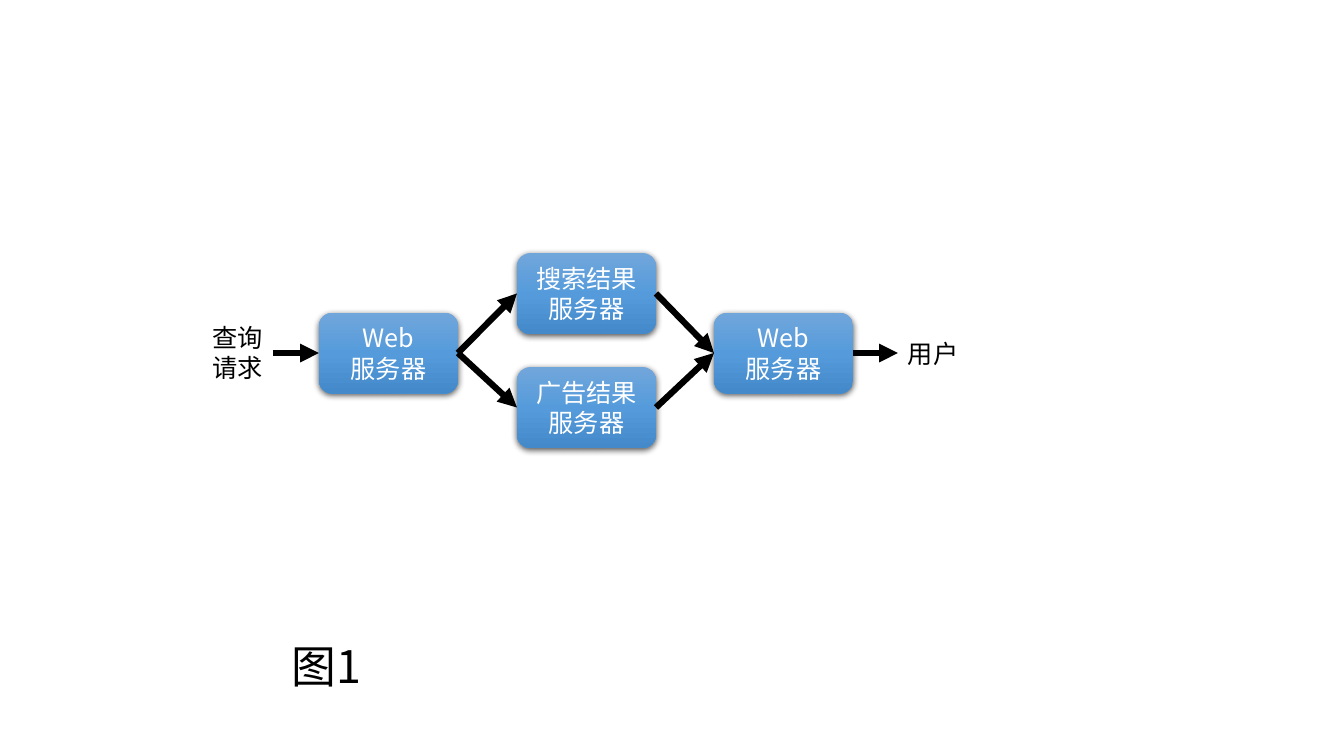
import dataclasses

import lxml.etree
import pptx
import pptx.dml.color
import pptx.enum.shapes
import pptx.enum.text
import pptx.oxml
import pptx.oxml.ns
import pptx.util

RGB = pptx.dml.color.RGBColor.from_string
ALIGN = pptx.enum.text.PP_ALIGN
qualify = pptx.oxml.ns.qn
LEFT_SITE, RIGHT_SITE = 1, 3


@dataclasses.dataclass(frozen=True)
class Theme:
    """Colours, font and sizes of the slide."""
    font: str = "Noto Sans CJK SC"
    ink: str = "000000"
    server_text: str = "FFFFFF"
    server_fill: tuple = ((0, "71A6DB"), (50, "559BDB"), (100, "448ACA"))
    label_size: int = 18
    caption_size: int = 32
    arrow_width: float = 4.5


THEME = Theme()


def px(length):
    """Convert pixels to EMU at 100.8 pixels to the inch."""
    return pptx.util.Emu(round(length * 914400 / 100.8))


def write_text(text_frame, text, size, color, alignment):
    """Fill a text frame, one paragraph per line, and format its runs."""
    text_frame.word_wrap = True
    text_frame.text = text
    for paragraph in text_frame.paragraphs:
        paragraph.alignment = alignment
        for run in paragraph.runs:
            run.font.name = THEME.font
            run.font.size = pptx.util.Pt(size)
            run.font.color.rgb = RGB(color)
            east_asian = lxml.etree.SubElement(run.font._element, qualify("a:ea"))
            east_asian.set("typeface", THEME.font)


def add_label(slide, box, text, size, alignment=ALIGN.LEFT):
    """Add a plain text box that grows with its text."""
    label = slide.shapes.add_textbox(*map(px, box))
    write_text(label.text_frame, text, size, THEME.ink, alignment)
    label.text_frame.auto_size = pptx.enum.text.MSO_AUTO_SIZE.SHAPE_TO_FIT_TEXT
    return label


def fill_gradient(shape):
    """Give a shape the vertical server gradient."""
    shape.fill.gradient()
    shape.fill.gradient_angle = 270
    stops = shape._element.spPr.find(".//" + qualify("a:gsLst"))
    for stop in list(stops):
        stops.remove(stop)
    for position, color in THEME.server_fill:
        stop = lxml.etree.SubElement(stops, qualify("a:gs"), pos=str(position * 1000))
        lxml.etree.SubElement(stop, qualify("a:srgbClr"), val=color)


def add_shadow(shape):
    """Give a shape a soft shadow below it."""
    shape.shadow.inherit = False
    effects = shape._element.spPr.find(qualify("a:effectLst"))
    shadow = lxml.etree.SubElement(
        effects, qualify("a:outerShdw"), blurRad=str(pptx.util.Pt(4.5)),
        dist=str(pptx.util.Pt(1.5)), dir="5400000", algn="ctr", rotWithShape="0")
    color = lxml.etree.SubElement(shadow, qualify("a:srgbClr"), val=THEME.ink)
    lxml.etree.SubElement(color, qualify("a:alpha"), val="63000")


def add_server(slide, box, text):
    """Add a rounded server box."""
    server = slide.shapes.add_shape(
        pptx.enum.shapes.MSO_SHAPE.ROUNDED_RECTANGLE, *map(px, box))
    fill_gradient(server)
    server.line.fill.background()
    add_shadow(server)
    server.text_frame.vertical_anchor = pptx.enum.text.MSO_ANCHOR.MIDDLE
    write_text(server.text_frame, text, THEME.label_size, THEME.server_text, ALIGN.CENTER)
    return server


def add_arrow(slide, source, target):
    """Join the right side of one shape to the left side of another."""
    arrow = slide.shapes.add_connector(
        pptx.enum.shapes.MSO_CONNECTOR.STRAIGHT, 0, 0, 0, 0)
    arrow.begin_connect(source, RIGHT_SITE)
    arrow.end_connect(target, LEFT_SITE)
    arrow.line.color.rgb = RGB(THEME.ink)
    arrow.line.width = pptx.util.Pt(THEME.arrow_width)
    lxml.etree.SubElement(arrow.line._ln, qualify("a:tailEnd"), type="triangle")
    lxml.etree.SubElement(arrow._element.spPr, qualify("a:effectLst"))


def add_query_flow(slide, box):
    """Place the flow from query to user inside the given box."""
    left, top, width, height = box
    server_width, server_height, label_width = 139, 81, 74
    query_height, user_height = 72, 40
    middle = top + 100
    web_top = middle - server_height / 2
    first, second, third = (left + offset for offset in (120, 318, 515))

    def server(x, y, text):
        """Add one server of the common size."""
        return add_server(slide, (x, y, server_width, server_height), text)

    front = server(first, web_top, "Web\n服务器")
    search = server(second, top, "搜索结果\n服务器")
    adverts = server(second, top + height - server_height, "广告结果\n服务器")
    back = server(third, web_top, "Web\n服务器")
    query = add_label(
        slide, (left, middle - query_height / 2, label_width, query_height),
        "查询\n请求", THEME.label_size, ALIGN.RIGHT)
    user = add_label(
        slide, (left + width - label_width, middle - user_height / 2,
                label_width, user_height), "用户", THEME.label_size)
    for source, target in (
            (query, front), (front, search), (front, adverts),
            (search, back), (adverts, back), (back, user)):
        add_arrow(slide, source, target)


def add_caption(slide, box):
    """Place the figure caption in the given box."""
    add_label(slide, box, "图1", THEME.caption_size)


def main():
    """Build and save the slide."""
    presentation = pptx.Presentation()
    presentation.slide_width = px(1344)
    presentation.slide_height = px(756)
    slide = presentation.slides.add_slide(presentation.slide_layouts[6])
    add_query_flow(slide, (199, 253, 773, 195))
    add_caption(slide, (282, 634, 300, 64))
    presentation.save("out.pptx")


main()
